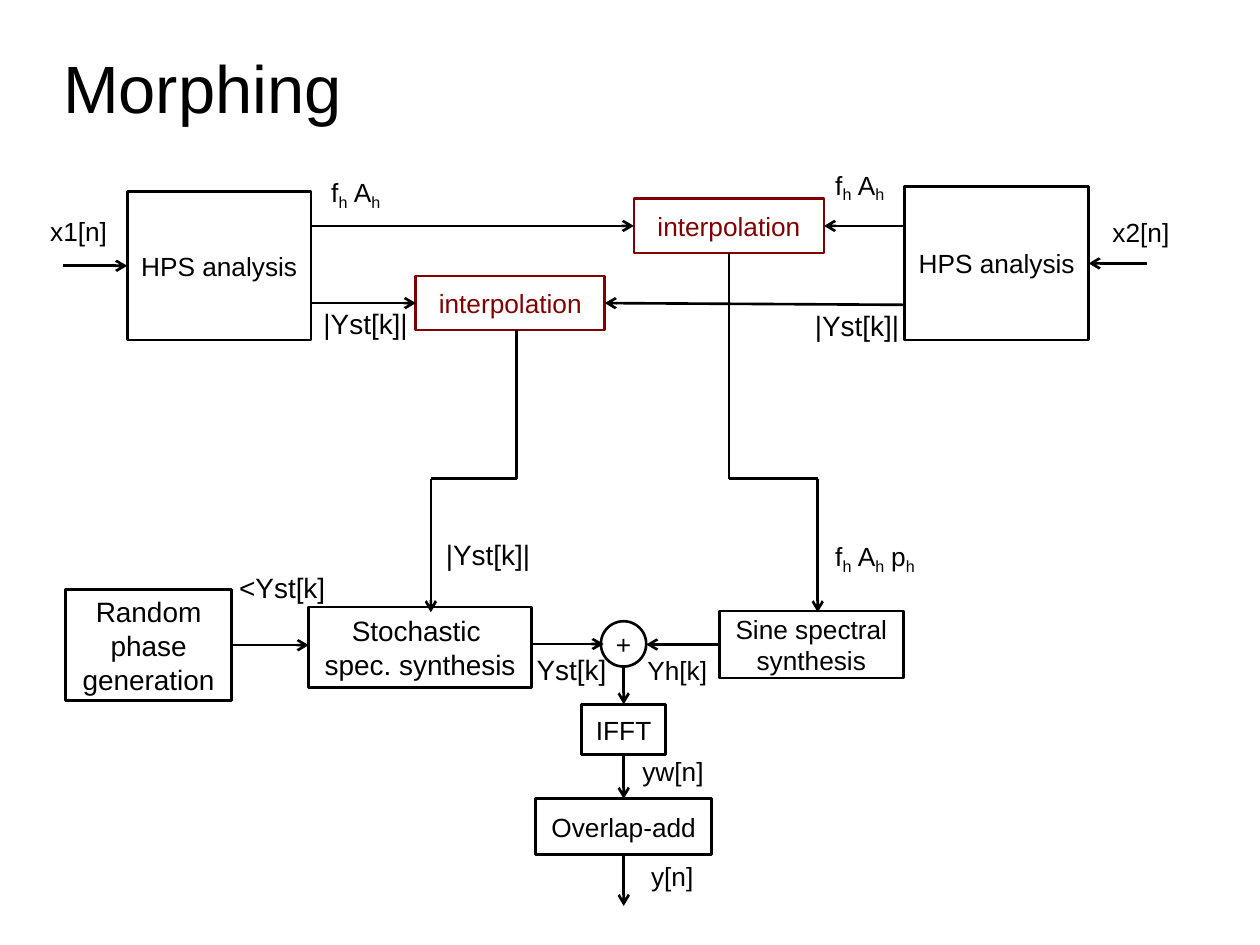
from dataclasses import dataclass

from lxml import etree
from pptx import Presentation
from pptx.dml.color import RGBColor
from pptx.enum import shapes, text
from pptx.oxml import ns
from pptx.util import Pt


@dataclass(frozen=True)
class Theme:
    ink: RGBColor = RGBColor(0, 0, 0)
    accent: RGBColor = RGBColor(0x80, 0, 0)
    face: str = "Arial"
    title: float = 38.2
    body: float = 15
    large: float = 16
    sub: float = 15.8
    line: float = 1.5


THEME = Theme()
TOP, LEFT, BOTTOM, RIGHT = range(4)
RECT = shapes.MSO_SHAPE.RECTANGLE
OVAL = shapes.MSO_SHAPE.OVAL


def style(font, size, color=THEME.ink):
    font.name = THEME.face
    font.size = Pt(size)
    font.color.rgb = color


def joint(shape, side):
    across = {LEFT: 0, RIGHT: shape.width}.get(side, shape.width // 2)
    down = {TOP: 0, BOTTOM: shape.height}.get(side, shape.height // 2)
    return shape.left + across, shape.top + down


class Region:
    def __init__(self, slide, left, top, width, height):
        self.shapes = slide.shapes
        self.left, self.top = left, top
        self.width, self.height = width, height

    def point(self, x, y):
        return Pt(self.left + x), Pt(self.top + y)

    def block(self, words, x, y, w, h, size=THEME.body, color=THEME.ink, kind=RECT):
        shape = self.shapes.add_shape(kind, *self.point(x, y), Pt(w), Pt(h))
        shape.shadow.inherit = False
        shape.fill.background()
        shape.line.color.rgb = color
        shape.line.width = Pt(THEME.line)
        frame = shape.text_frame
        frame.word_wrap = kind == RECT
        frame.vertical_anchor = text.MSO_ANCHOR.MIDDLE
        if kind == OVAL:
            frame.margin_left = frame.margin_right = 0
            frame.margin_top = frame.margin_bottom = 0
        frame.text = words
        for para in frame.paragraphs:
            para.alignment = text.PP_ALIGN.CENTER
            style(para.font, size, color)
        return shape

    def label(self, words, x, y, w, h=25.2, size=THEME.body, sub=None):
        box = self.shapes.add_textbox(*self.point(x, y), Pt(w), Pt(h))
        frame = box.text_frame
        frame.word_wrap = False
        frame.auto_size = text.MSO_AUTO_SIZE.SHAPE_TO_FIT_TEXT
        para = frame.paragraphs[0]
        para.line_spacing = 0.93
        para.add_run().text = words
        style(para.font, size)
        if sub:
            run = para.add_run()
            run.text = sub
            run.font.size = Pt(THEME.sub)
            run.font._element.set("baseline", "-20000")

    def partials(self, names, x, y):
        spots = {"f": (0, 24.5), "A": (13, 30.5), "p": (32, 30)}
        for name in names:
            shift, wide = spots[name]
            self.label(name, x + shift, y, wide, 26.6, sub="h")

    def wire(self, start, end, head=True):
        ends = [p if isinstance(p[0], (int, float)) else None for p in (start, end)]
        spots = [self.point(*p) if p else joint(*q) for p, q in zip(ends, (start, end))]
        line = self.shapes.add_connector(
            shapes.MSO_CONNECTOR.STRAIGHT, *spots[0], *spots[1])
        if not ends[0]:
            line.begin_connect(*start)
        if not ends[1]:
            line.end_connect(*end)
        line.line.color.rgb = THEME.ink
        line.line.width = Pt(THEME.line)
        if head:
            etree.SubElement(line.line._get_or_add_ln(), ns.qn("a:tailEnd"), type="arrow")
        etree.SubElement(line._element.spPr, ns.qn("a:effectLst"))


def heading(slide, left, top, width, height):
    title = slide.shapes.title
    title.left, title.top = Pt(left), Pt(top)
    title.width, title.height = Pt(width), Pt(height)
    frame = title.text_frame
    frame.margin_left = frame.margin_right = 0
    frame.margin_top = frame.margin_bottom = 0
    frame.vertical_anchor = text.MSO_ANCHOR.MIDDLE
    frame.auto_size = text.MSO_AUTO_SIZE.NONE
    frame.text = "Morphing"
    para = frame.paragraphs[0]
    para.alignment = text.PP_ALIGN.LEFT
    style(para.font, THEME.title)


def analysis(slide, *box):
    area = Region(slide, *box)
    first = area.block("HPS analysis", 51.1, 19.4, 105.1, 85)
    second = area.block("HPS analysis", 495.4, 16.6, 105.1, 87.8)
    noise = area.block("interpolation", 216, 67.7, 108, 31, color=THEME.accent)
    sines = area.block("interpolation", 340.6, 23.6, 108.7, 31, color=THEME.accent)

    area.wire((14.4, 61.9), (first, LEFT))
    area.wire((633.6, 60.5), (second, RIGHT))
    area.wire((156.2, 39.1), (sines, LEFT))
    area.wire((495.4, 39.1), (sines, RIGHT))
    area.wire((156.2, 83.2), (noise, LEFT))
    area.wire((495.4, 84.2), (noise, RIGHT))
    area.wire((273.6, 98.7), (273.6, area.height), head=False)
    area.wire((sines, BOTTOM), (394.95, area.height), head=False)

    area.label("x1[n]", 0, 31, 46.8)
    area.label("x2[n]", 607, 31.7, 46.8)
    area.partials("fA", 160.6, 6.8)
    area.partials("fA", 448.6, 2.5)
    for x, y in ((156.2, 83.5), (437, 84.2)):
        area.label("|Yst[k]|", x, y, 62.6, 30.2, THEME.large)


def synthesis(slide, *box):
    area = Region(slide, *box)
    phase = area.block("Random phase generation", 15.8, 63.4, 95, 63.4, THEME.large)
    area.block("Stochastic \vspec. synthesis", 154.8, 73.4, 127.4, 46.1, THEME.large)
    area.block("+", 321.8, 81.4, 25.9, 25.9, kind=OVAL)
    sines = area.block("Sine spectral\nsynthesis", 389.5, 75.6, 105.1, 38.2)

    for start, end in ((273.6, 224.6), (394.95, 445.7)):
        area.wire((start, 0), (end, 0), head=False)
        area.wire((end, 0), (end, 76.3))
    area.wire((phase, RIGHT), (154.8, 95.1))
    area.wire((282.2, 94.4), (323.3, 94.4))
    area.wire((sines, LEFT), (347.7, 94.7))

    area.partials("fAp", 448.6, 31.3)
    area.label("<Yst[k]", 108, 50.4, 63.4, 34.6, THEME.large)
    area.label("|Yst[k]|", 226.1, 31.7, 62.6, 30.2, THEME.large)
    area.label("Yst[k]", 277.9, 97.2, 61.2, 34.6, THEME.large)
    area.label("Yh[k]", 341.3, 98.6, 50.4)


def output(slide, *box):
    area = Region(slide, *box)
    mid = area.width / 2
    ifft = area.block("IFFT", mid - 24.1, 21.6, 48.2, 28.8)
    add = area.block("Overlap-add", 0, 75.6, area.width, 31.7)
    area.wire((mid, 0), (ifft, TOP))
    area.wire((ifft, BOTTOM), (add, TOP))
    area.wire((add, BOTTOM), (mid, area.height))
    area.label("yw[n]", 54, 48.9, 51.1)
    area.label("y[n]", 59, 108.7, 38.9)


def main():
    deck = Presentation()
    deck.slide_width, deck.slide_height = Pt(720), Pt(540)
    slide = deck.slides.add_slide(deck.slide_layouts[5])
    heading(slide, 36, 4.3, 648, 90)
    analysis(slide, 21.6, 90, 653.8, 183.6)
    synthesis(slide, 21.6, 273.6, 510, 132)
    output(slide, 306, 380.9, 100.8, 136.8)
    deck.save("out.pptx")


if __name__ == "__main__":
    main()
